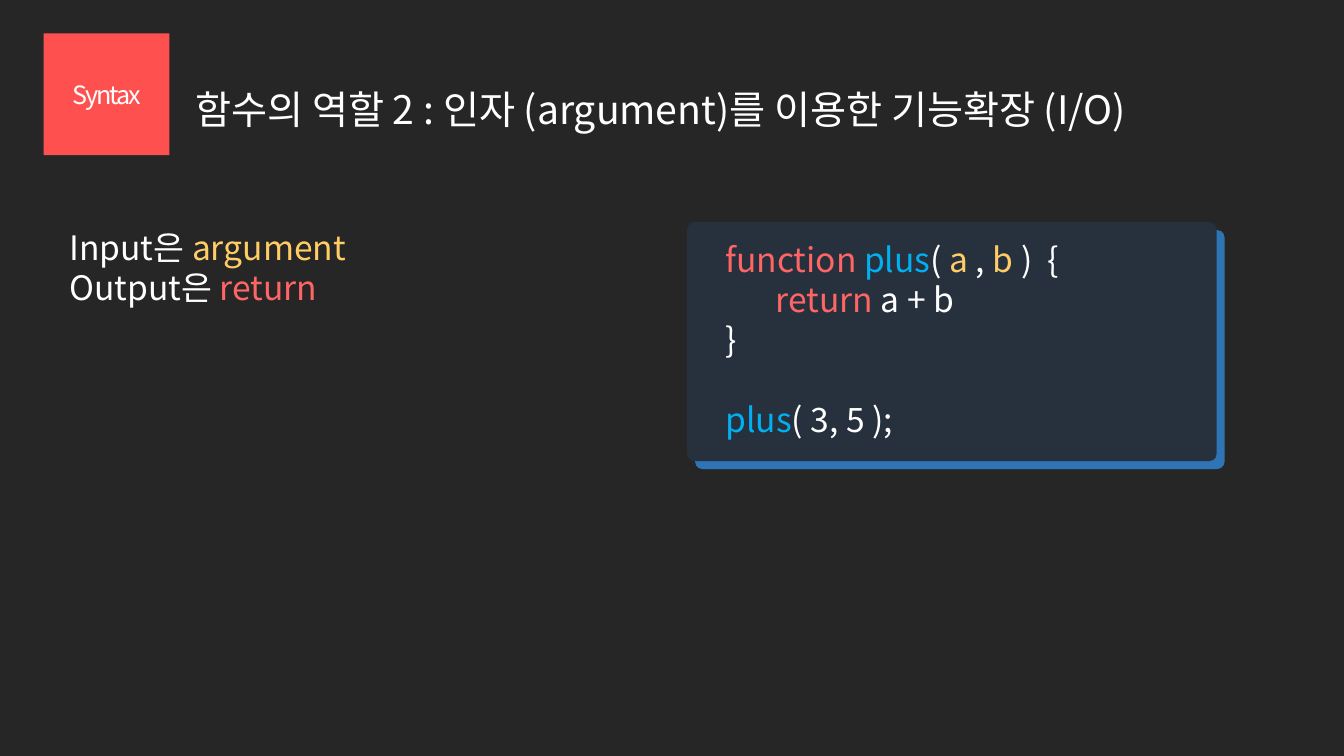
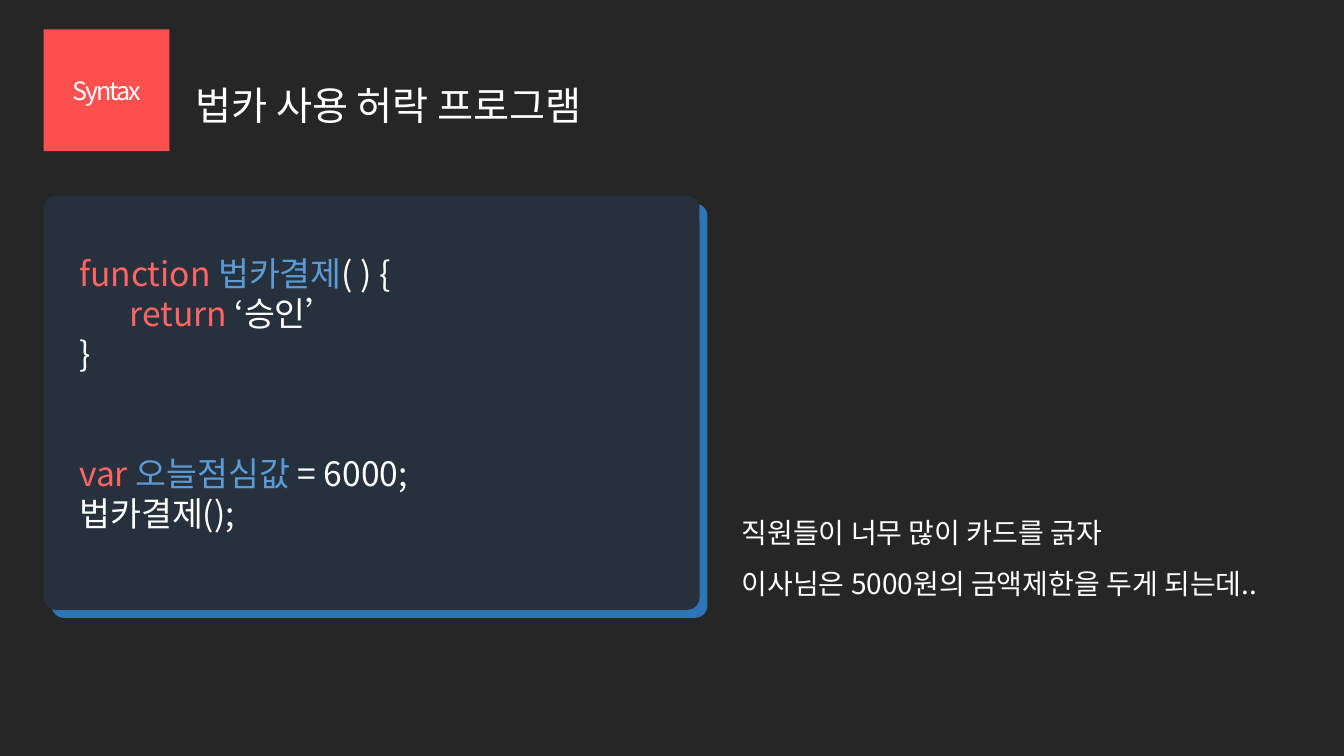
from lxml.etree import SubElement
from pptx import Presentation
from pptx.dml.color import RGBColor
from pptx.enum.shapes import MSO_SHAPE
from pptx.enum.text import MSO_ANCHOR, MSO_AUTO_SIZE, PP_ALIGN
from pptx.oxml.ns import qn
from pptx.util import Cm, Pt

FONT = "Noto Sans CJK KR"
BACKGROUND = RGBColor(0x26, 0x26, 0x26)
CARD = RGBColor(0x27, 0x30, 0x3D)
CARD_EDGE = RGBColor(0x2E, 0x75, 0xB6)
TILE = RGBColor(0xFF, 0x50, 0x50)
WHITE = RGBColor(0xFF, 0xFF, 0xFF)
RED = RGBColor(0xFF, 0x65, 0x65)
YELLOW = RGBColor(0xFF, 0xCC, 0x66)
CYAN = RGBColor(0x00, 0xB0, 0xF0)
BLUE = RGBColor(0x5B, 0x9B, 0xD5)
CODE_PITCH = 28.6


def write(tf, lines, size, pitch=None, align=PP_ALIGN.LEFT):
    tf.word_wrap = True
    tf.auto_size = MSO_AUTO_SIZE.NONE
    p = None
    gap = 0
    for line in lines:
        if not line:
            gap += pitch
            continue
        p = tf.paragraphs[0] if p is None else tf.add_paragraph()
        p.alignment = align
        p.line_spacing = Pt(pitch) if pitch else None
        p.space_before = Pt(gap)
        gap = 0
        p.font.size = Pt(size)
        p.font.name = FONT
        p.font.color.rgb = WHITE
        SubElement(p._p.pPr.find(qn("a:defRPr")), qn("a:ea"), typeface=FONT)
        for text, color in line:
            r = p.add_run()
            r.text = text
            if color != WHITE:
                r.font.color.rgb = color
            SubElement(r._r.get_or_add_rPr(), qn("a:ea"), typeface=FONT)


def add_block(slide, shape, left, top, width, height, fill):
    sp = slide.shapes.add_shape(shape, Cm(left), Cm(top), Cm(width), Cm(height))
    sp.shadow.inherit = False
    sp.fill.solid()
    sp.fill.fore_color.rgb = fill
    sp.line.fill.background()
    return sp


slides = [
    {
        "title": "함수의 역할 2 : 인자 (argument)를 이용한 기능확장 (I/O)",
        "title_box": (4.67, 1.19, 24.43, 2.51),
        "tile_top": 0.84,
        "card": (17.32, 5.6, 13.34, 6.02),
        "texts": [
            ((1.5, 5.59, 15, 3.33), 24, CODE_PITCH, MSO_ANCHOR.TOP, [
                [("Input은 ", WHITE), ("argument", YELLOW)],
                [("Output은 ", WHITE), ("return", RED)],
            ]),
            ((18.03, 5.89, 15.27, 5.38), 24, CODE_PITCH, MSO_ANCHOR.TOP, [
                [("function ", RED), ("plus", CYAN), ("( ", WHITE), ("a ", YELLOW),
                 (",", WHITE), (" b ", YELLOW), (")  {", WHITE)],
                [("\t", WHITE), ("return ", RED), ("a + b", WHITE)],
                [("}", WHITE)],
                [],
                [("plus", CYAN), ("( 3, 5 );", WHITE)],
            ]),
        ],
    },
    {
        "title": "법카 사용 허락 프로그램",
        "title_box": (4.67, 1.09, 22.15, 2.51),
        "tile_top": 0.74,
        "card": (1.1, 4.93, 16.53, 10.44),
        "texts": [
            ((1.75, 6.25, 15.37, 7.45), 24, CODE_PITCH, MSO_ANCHOR.TOP, [
                [("function ", RED), ("법카결제", BLUE), ("( ) {", WHITE)],
                [("\t", WHITE), ("return", RED), (" ‘승인’", WHITE)],
                [("}", WHITE)],
                [],
                [],
                [("var ", RED), ("오늘점심값 ", BLUE), ("= 6000;", WHITE)],
                [("법카결제();", WHITE)],
            ]),
            ((18.44, 12.27, 15.43, 3.15), 20, 36.4, MSO_ANCHOR.MIDDLE, [
                [("직원들이 너무 많이 카드를 긁자", WHITE)],
                [("이사님은 5000원의 금액제한을 두게 되는데..", WHITE)],
            ]),
        ],
    },
]

prs = Presentation()
prs.slide_width = Cm(33.87)
prs.slide_height = Cm(19.05)
bg = prs.slide_master.background.fill
bg.solid()
bg.fore_color.rgb = BACKGROUND

for content in slides:
    s = prs.slides.add_slide(prs.slide_layouts[5])

    title = s.shapes.title
    title.left, title.top, title.width, title.height = map(Cm, content["title_box"])
    title.text_frame.vertical_anchor = MSO_ANCHOR.MIDDLE
    write(title.text_frame, [[(content["title"], WHITE)]], 28, 51)

    left, top, width, height = content["card"]
    for offset, fill in ((0.2, CARD_EDGE), (0, CARD)):
        card = add_block(s, MSO_SHAPE.ROUNDED_RECTANGLE, left + offset, top + offset,
                         width, height, fill)
        card.adjustments[0] = 0.03

    for box, size, pitch, anchor, lines in content["texts"]:
        tb = s.shapes.add_textbox(*map(Cm, box))
        tb.text_frame.vertical_anchor = anchor
        write(tb.text_frame, lines, size, pitch)

    tile = add_block(s, MSO_SHAPE.RECTANGLE, 1.1, content["tile_top"], 3.17, 3.07, TILE)
    tile.text_frame.vertical_anchor = MSO_ANCHOR.MIDDLE
    write(tile.text_frame, [[("Syntax", WHITE)]], 18, align=PP_ALIGN.CENTER)
    tile.text_frame.paragraphs[0].runs[0]._r.get_or_add_rPr().set("spc", "-150")

prs.save("out.pptx")
